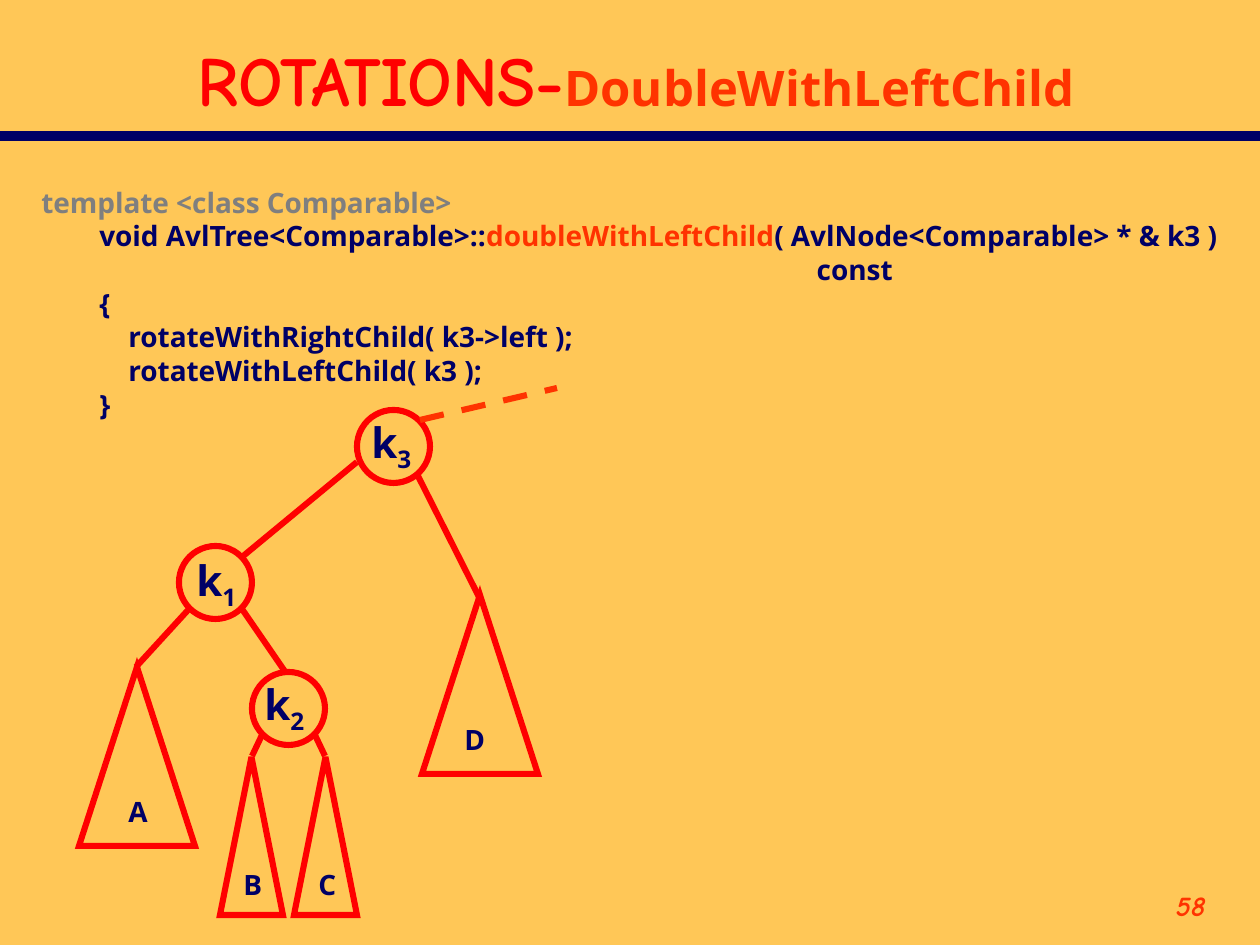
from lxml.etree import SubElement
from pptx import Presentation
from pptx.dml.color import RGBColor
from pptx.enum.dml import MSO_LINE
from pptx.enum.shapes import MSO_CONNECTOR, MSO_SHAPE
from pptx.enum.text import MSO_ANCHOR, MSO_AUTO_SIZE, PP_ALIGN
from pptx.oxml.ns import qn
from pptx.util import Emu, Pt

RED = RGBColor(0xFF, 0x00, 0x00)
ORANGE = RGBColor(0xFF, 0x33, 0x00)
NAVY = RGBColor(0x00, 0x00, 0x66)
GRAY = RGBColor(0x7F, 0x7F, 0x7F)
SAND = RGBColor(0xFF, 0xC7, 0x57)
BODY_FONT, HAND_FONT = "Open Sans", "Comic Neue"

CODE = [
    [("template <class Comparable>", GRAY)],
    [("        void AvlTree<Comparable>::", NAVY),
     ("doubleWithLeftChild", ORANGE),
     ("( AvlNode<Comparable> * & k3 )", NAVY)],
    [(" " * 107 + "const", NAVY)],
    [("        {", NAVY)],
    [("            rotateWithRightChild( k3->left );", NAVY)],
    [("            rotateWithLeftChild( k3 );", NAVY)],
    [("        }", NAVY)],
]

NODE_SIZE = 73
NODE_LABEL_SIZE = (90, 71)
# subscript, circle left and top, label left and top
NODES = [
    ("1", (179, 546), (184, 548)),
    ("2", (252, 672), (252, 672)),
    ("3", (357, 410), (359, 410)),
]
# name, triangle box, label left and top
SUBTREES = [
    ("A", (79, 667, 116, 179), (116, 788)),
    ("D", (422, 595, 116, 179), (452, 716)),
    ("B", (220, 757, 63, 158), (231, 861)),
    ("C", (294, 757, 63, 158), (306, 861)),
]
EDGES = [
    (189, 609, 136, 667),
    (242, 609, 286, 673),
    (357, 462, 242, 557),
    (417, 474, 479, 597),
    (262, 735, 252, 756),
    (315, 735, 325, 756),
]


def px(*values):
    return [Emu(round(value * 914400 / 126)) for value in values]


def add_text(slide, box, lines, size, font=BODY_FONT, wrap=False):
    """Add a text box; each line is a list of (text, colour) runs."""
    frame = slide.shapes.add_textbox(*px(*box)).text_frame
    frame.word_wrap = wrap
    frame.auto_size = MSO_AUTO_SIZE.NONE if wrap else MSO_AUTO_SIZE.SHAPE_TO_FIT_TEXT
    for index, runs in enumerate(lines):
        paragraph = frame.add_paragraph() if index else frame.paragraphs[0]
        paragraph.font.name = font
        paragraph.font.size = Pt(size)
        paragraph.font.bold = True
        for text, color in runs:
            run = paragraph.add_run()
            run.text = text
            run.font.color.rgb = color
    return frame


def add_outline(slide, kind, box):
    shape = slide.shapes.add_shape(kind, *px(*box))
    shape.shadow.inherit = False
    shape.fill.background()
    shape.line.color.rgb = RED
    shape.line.width = Pt(3.5)
    SubElement(shape.line._get_or_add_ln(), qn("a:miter"), lim="800000")


def add_line(slide, ends, color=RED, width=3.5):
    connector = slide.shapes.add_connector(MSO_CONNECTOR.STRAIGHT, *px(*ends))
    connector.line.color.rgb = color
    connector.line.width = Pt(width)
    SubElement(connector._element.spPr, qn("a:effectLst"))
    return connector


def add_heading(slide):
    add_line(slide, (0, 136, 1260, 136), NAVY, 6)
    title = add_text(slide, (53, 31, 1166, 95),
                     [[("ROTATIONS-", RED), ("DoubleWithLeftChild", ORANGE)]],
                     40, HAND_FONT, wrap=True)
    title.vertical_anchor = MSO_ANCHOR.MIDDLE
    paragraph = title.paragraphs[0]
    paragraph.alignment = PP_ALIGN.CENTER
    function_name = paragraph.runs[1].font
    function_name.name = BODY_FONT
    function_name.size = Pt(28)


def add_page_number(slide):
    frame = add_text(slide, (1092, 882, 126, 63), [[("58", ORANGE)]],
                     16, HAND_FONT, wrap=True)
    frame.paragraphs[0].alignment = PP_ALIGN.RIGHT
    frame.paragraphs[0].font.italic = True


def add_tree(slide):
    for name, box, label in SUBTREES:
        add_outline(slide, MSO_SHAPE.ISOSCELES_TRIANGLE, box)
        add_text(slide, (*label, 44, 47), [[(name, NAVY)]], 16)
    for subscript, corner, label in NODES:
        add_outline(slide, MSO_SHAPE.OVAL, (*corner, NODE_SIZE, NODE_SIZE))
        frame = add_text(slide, (*label, *NODE_LABEL_SIZE),
                         [[("k", NAVY), (subscript, NAVY)]], 24, wrap=True)
        frame.paragraphs[0].runs[1].font._element.set("baseline", "-25000")
    for edge in EDGES:
        add_line(slide, edge)
    parent_link = add_line(slide, (420, 420, 557, 388), ORANGE)
    parent_link.line.dash_style = MSO_LINE.DASH


def main():
    presentation = Presentation()
    presentation.slide_width, presentation.slide_height = px(1260, 945)
    slide = presentation.slides.add_slide(presentation.slide_layouts[6])
    slide.background.fill.solid()
    slide.background.fill.fore_color.rgb = SAND
    add_heading(slide)
    add_page_number(slide)
    code = add_text(slide, (29, 179, 1212, 248), CODE, 16)
    for paragraph in code.paragraphs:
        paragraph.line_spacing = Pt(19.25)
    add_tree(slide)
    presentation.save("out.pptx")


if __name__ == "__main__":
    main()
